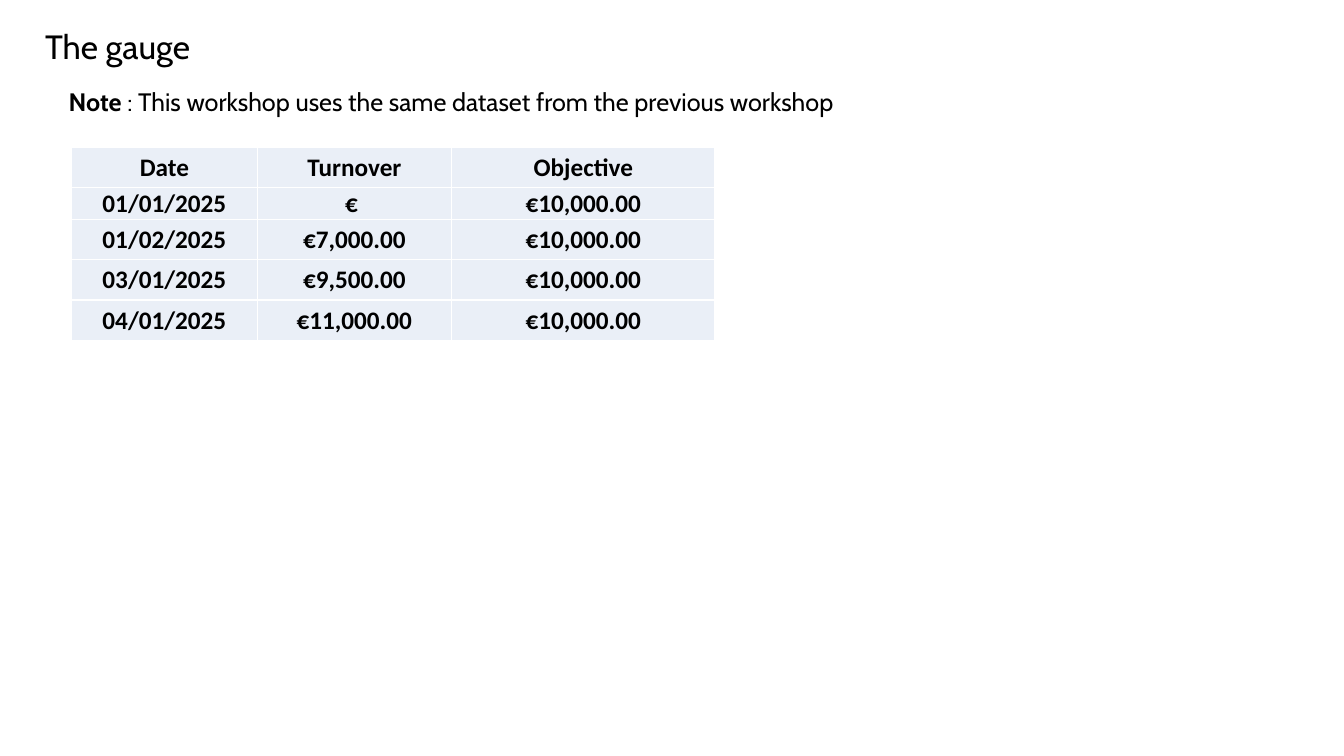
from dataclasses import dataclass

from lxml import etree
from pptx import Presentation
from pptx.dml.color import RGBColor
from pptx.enum.text import MSO_ANCHOR, MSO_AUTO_SIZE, PP_ALIGN
from pptx.oxml.ns import qn
from pptx.util import Inches, Pt

TOP, MIDDLE = MSO_ANCHOR.TOP, MSO_ANCHOR.MIDDLE
LEFT, CENTER = PP_ALIGN.LEFT, PP_ALIGN.CENTER
NO_FIT = MSO_AUTO_SIZE.NONE


@dataclass(frozen=True)
class Theme:
    ink: str = "000000"
    band: str = "EAEFF7"
    rule: str = "FFFFFF"
    head: str = "Cabin"
    grid: str = "Calibri"
    large: int = 24
    text: int = 18


THEME = Theme()
WIDTH, HEIGHT = Inches(13.33), Inches(7.5)
COLS = (1.84, 1.93, 2.61)
ROWS = (0.4, 0.3, 0.4, 0.4, 0.4)
GOAL = "€10,000.00"
DATA = (
    ("Date", "Turnover", "Objective"),
    ("01/01/2025", "€ ", GOAL),
    ("01/02/2025", "€7,000.00", GOAL),
    ("03/01/2025", "€9,500.00", GOAL),
    ("04/01/2025", "€11,000.00", GOAL),
)


def style(para, face, size, align):
    para.alignment = align
    font = para.font
    font.name, font.size = face, Pt(size)
    font.color.rgb = RGBColor.from_string(THEME.ink)


def place(holder, box, parts, size):
    x, y, w, h = box
    holder.left, holder.top = int(WIDTH * x), int(HEIGHT * y)
    holder.width, holder.height = int(WIDTH * w), int(HEIGHT * h)
    frame = holder.text_frame
    frame.word_wrap = True
    frame.auto_size = NO_FIT
    frame.vertical_anchor = TOP
    para = frame.paragraphs[0]
    props = para._p.get_or_add_pPr()
    props.set("marL", "0")
    props.set("indent", "0")
    etree.SubElement(props, qn("a:buNone"))
    para.space_before = Pt(0)
    for words, bold in parts:
        run = para.add_run()
        run.text, run.font.bold = words, bold
    style(para, THEME.head, size, LEFT)


def edge(cell):
    props = cell._tc.get_or_add_tcPr()
    for side in ("lnL", "lnR", "lnT", "lnB"):
        line = etree.SubElement(props, qn(f"a:{side}"), w=str(Pt(1)))
        fill = etree.SubElement(line, qn("a:solidFill"))
        etree.SubElement(fill, qn("a:srgbClr"), val=THEME.rule)


def fill_cell(cell, words):
    edge(cell)
    cell.fill.solid()
    cell.fill.fore_color.rgb = RGBColor.from_string(THEME.band)
    cell.vertical_anchor = MIDDLE
    cell.margin_left = cell.margin_right = cell.margin_top = Inches(0.01)
    cell.margin_bottom = 0
    cell.text = words
    para = cell.text_frame.paragraphs[0]
    style(para, THEME.grid, THEME.text, CENTER)
    para.font.bold = True


def add_grid(slide, x, y):
    table = slide.shapes.add_table(
        len(ROWS), len(COLS), int(WIDTH * x), int(HEIGHT * y),
        Inches(sum(COLS)), Inches(sum(ROWS))).table
    for col, size in zip(table.columns, COLS):
        col.width = Inches(size)
    for row, size, words in zip(table.rows, ROWS, DATA):
        row.height = Inches(size)
        for cell, text in zip(row.cells, words):
            fill_cell(cell, text)


def main():
    deck = Presentation()
    deck.slide_width, deck.slide_height = WIDTH, HEIGHT
    slide = deck.slides.add_slide(deck.slide_layouts[1])
    title, body = slide.placeholders
    place(title, (0.026, 0.028, 0.67, 0.067), [("The gauge", False)], THEME.large)
    note = [("Note ", True),
            (": This workshop uses the same dataset from the previous workshop", False)]
    place(body, (0.0435, 0.108, 0.67, 0.053), note, THEME.text)
    add_grid(slide, 0.0533, 0.1947)
    deck.save("out.pptx")


if __name__ == "__main__":
    main()
